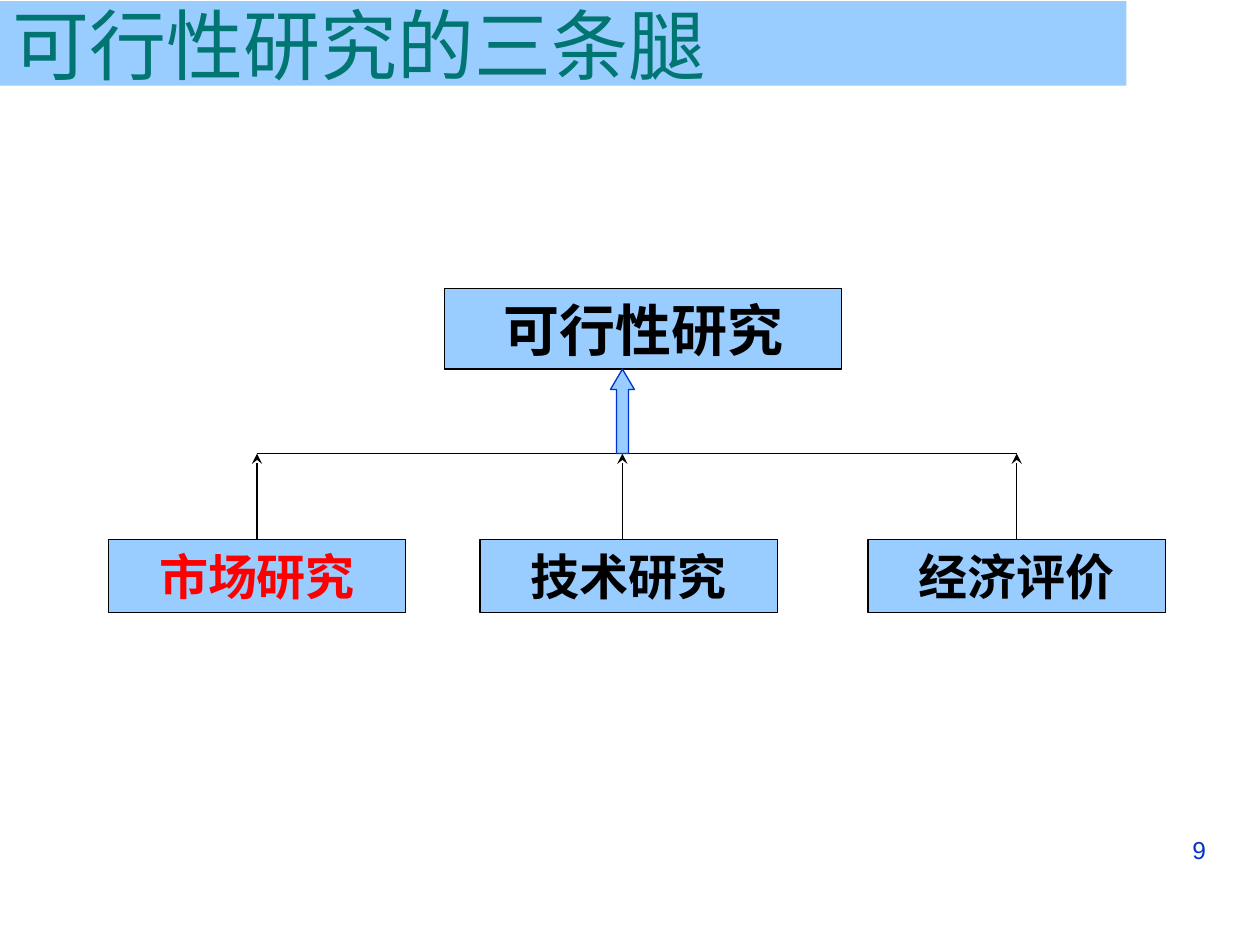
import pptx
import pptx.dml.color
import pptx.enum.shapes
import pptx.enum.text
import pptx.oxml
import pptx.oxml.ns
import pptx.util

RGBColor = pptx.dml.color.RGBColor
Shapes = pptx.enum.shapes.MSO_SHAPE
Align = pptx.enum.text.PP_ALIGN
Anchor = pptx.enum.text.MSO_ANCHOR

SKY = RGBColor(0x99, 0xCC, 0xFF)
TEAL = RGBColor(0x00, 0x75, 0x72)
BLUE = RGBColor(0x00, 0x33, 0xCC)
RED = RGBColor(0xFF, 0x00, 0x00)
BLACK = RGBColor(0x00, 0x00, 0x00)
LATIN_FONT = "Arial"
CHINESE_FONT = "Noto Sans CJK SC"


def drawing_element(tag, attributes=""):
    """Return an empty DrawingML element such as a:effectLst."""
    namespace = pptx.oxml.ns.nsdecls("a")
    return pptx.oxml.parse_xml(f"<a:{tag} {namespace} {attributes}/>")


class SlideBuilder:
    """Holds the style and the slide; lengths are columns and rows of 0.1 inch."""

    unit = pptx.util.Inches(0.1)
    line_width = pptx.util.Pt(0.75)

    def __init__(self, slide):
        self.slide = slide

    def lengths(self, *cells):
        return [round(cell * self.unit) for cell in cells]

    def set_text(self, shape, text, size, color, font=LATIN_FONT, bold=False,
                 align=Align.LEFT, anchor=Anchor.MIDDLE):
        frame = shape.text_frame
        frame.word_wrap = True
        frame.vertical_anchor = anchor
        paragraph = frame.paragraphs[0]
        paragraph.text = text
        paragraph.alignment = align
        paragraph.font.size = pptx.util.Pt(size)
        paragraph.font.bold = bold
        paragraph.font.color.rgb = color
        paragraph.font.name = font
        run_font = paragraph.runs[0].font
        run_font.name = font
        run_font._element.append(drawing_element("ea", f'typeface="{CHINESE_FONT}"'))

    def shape(self, kind, area, line_color=None):
        shape = self.slide.shapes.add_shape(kind, *self.lengths(*area))
        shape.shadow.inherit = False
        shape.fill.solid()
        shape.fill.fore_color.rgb = SKY
        if line_color is None:
            shape.line.fill.background()
        else:
            shape.line.color.rgb = line_color
            shape.line.width = self.line_width
        return shape

    def title(self, text, area):
        self.set_text(self.shape(Shapes.RECTANGLE, area), text, 44, TEAL)

    def box(self, text, area, size, color=BLACK):
        box = self.shape(Shapes.RECTANGLE, area, BLACK)
        self.set_text(box, text, size, color, CHINESE_FONT, True, Align.CENTER)

    def up_arrow(self, area):
        arrow = self.shape(Shapes.UP_ARROW, area, BLUE)
        arrow.adjustments[0] = 0.5
        arrow.adjustments[1] = 0.85

    def line(self, start, end, arrowhead=False):
        connector = self.slide.shapes.add_connector(
            pptx.enum.shapes.MSO_CONNECTOR.STRAIGHT, *self.lengths(*start, *end))
        connector.line.color.rgb = BLACK
        connector.line.width = self.line_width
        properties = connector._element.spPr
        if arrowhead:
            outline = properties.find(pptx.oxml.ns.qn("a:ln"))
            outline.append(drawing_element("tailEnd", 'type="stealth"'))
        properties.append(drawing_element("effectLst"))

    def page_number(self, text, area):
        box = self.slide.shapes.add_textbox(*self.lengths(*area))
        self.set_text(box, text, 14, BLUE, align=Align.RIGHT, anchor=Anchor.TOP)


def main():
    presentation = pptx.Presentation()
    presentation.slide_width = pptx.util.Inches(10)
    presentation.slide_height = pptx.util.Inches(7.5)
    builder = SlideBuilder(presentation.slides.add_slide(presentation.slide_layouts[6]))

    builder.page_number("9", (71.7, 65.8, 25, 5.2))
    builder.title("可行性研究的三条腿", (0, 0.1, 89.4, 6.7))

    study_top, study_bottom, bar_row, leg_row = 22.9, 29.3, 36, 42.8
    builder.box("可行性研究", (35.3, study_top, 31.5, study_bottom - study_top), 32)

    # Each leg: text, left column of its box, column of its arrow, text colour
    legs = [
        ("市场研究", 8.6, 20.4, RED),
        ("技术研究", 38.1, 49.4, BLACK),
        ("经济评价", 68.9, 80.7, BLACK),
    ]
    builder.line((legs[0][2], bar_row), (legs[-1][2], bar_row))
    for text, left, arrow_column, color in legs:
        builder.box(text, (left, leg_row, 23.6, 5.8), 28, color)
        builder.line((arrow_column, leg_row), (arrow_column, bar_row), arrowhead=True)

    arrow_width = 1.9
    builder.up_arrow((legs[1][2] - arrow_width / 2, study_bottom,
                      arrow_width, bar_row - study_bottom))
    presentation.save("out.pptx")


if __name__ == "__main__":
    main()
